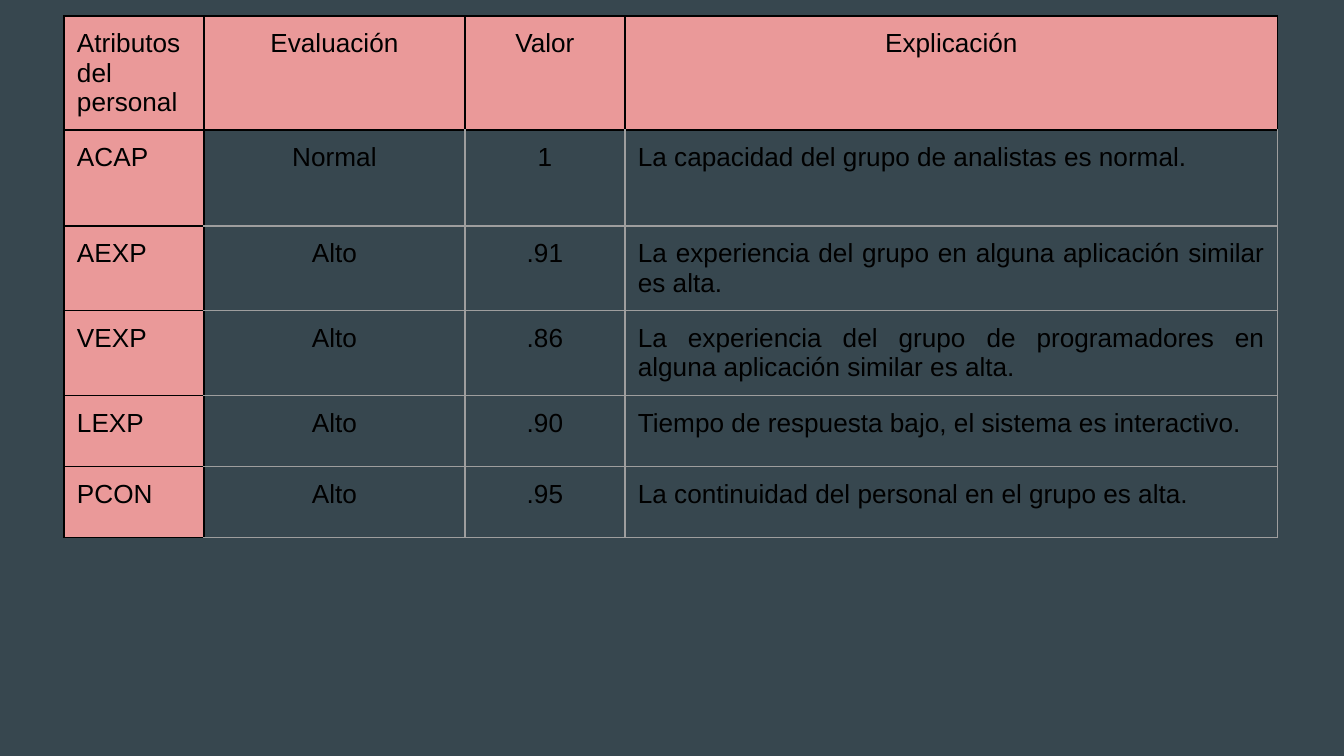
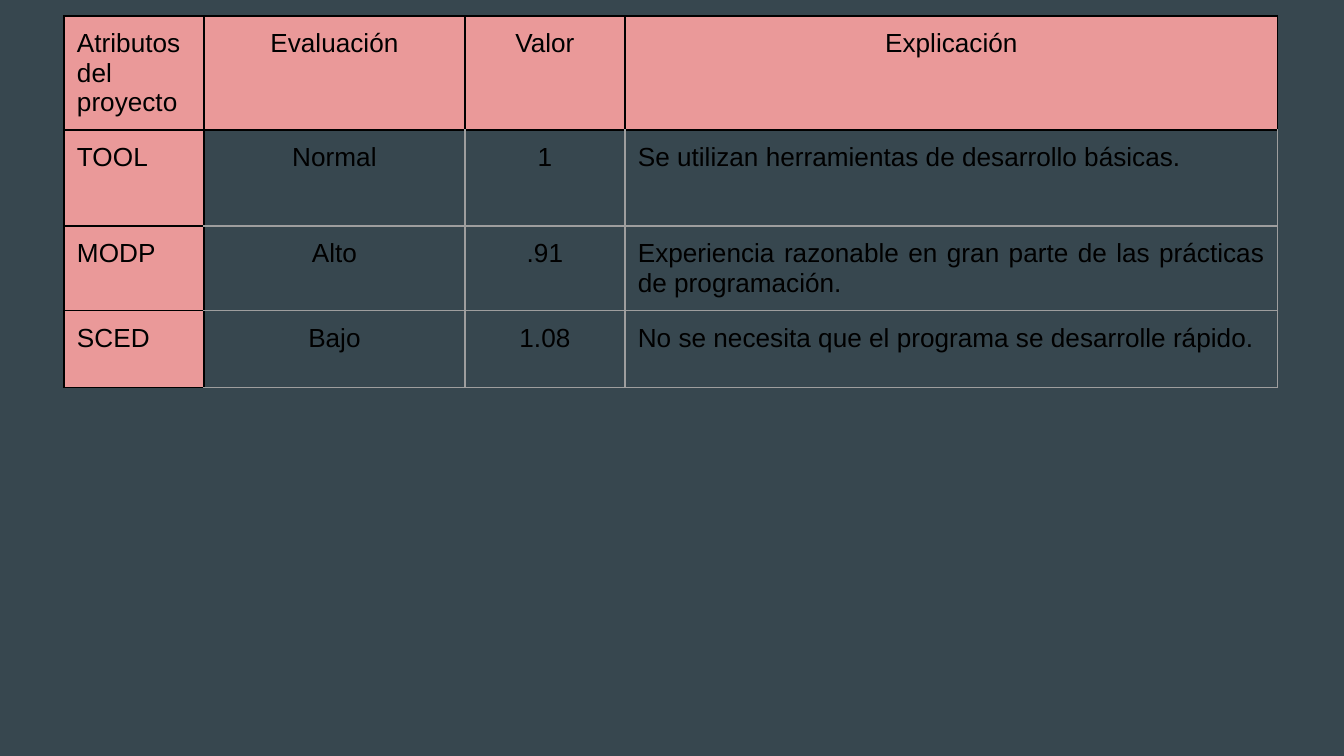
from dataclasses import dataclass

from lxml.etree import SubElement
from pptx import Presentation
from pptx.dml.color import RGBColor
from pptx.enum.text import PP_ALIGN
from pptx.oxml.ns import qn
from pptx.util import Pt

HEADINGS = ("Evaluación", "Valor", "Explicación")
TABLES = [
    ("Atributos del personal", [
        ("ACAP", "Normal", "1", "La capacidad del grupo de analistas es normal."),
        ("AEXP", "Alto", ".91", "La experiencia del grupo en alguna aplicación similar es alta."),
        ("VEXP", "Alto", ".86",
         "La experiencia del grupo de programadores en alguna aplicación similar es alta."),
        ("LEXP", "Alto", ".90", "Tiempo de respuesta bajo, el sistema es interactivo."),
        ("PCON", "Alto", ".95", "La continuidad del personal en el grupo es alta."),
    ]),
    ("Atributos del proyecto", [
        ("TOOL", "Normal", "1", "Se utilizan herramientas de desarrollo básicas."),
        ("MODP", "Alto", ".91",
         "Experiencia razonable en gran parte de las prácticas de programación."),
        ("SCED", "Bajo", "1.08", "No se necesita que el programa se desarrolle rápido."),
    ]),
]
LEFT_ALIGNED = {"LEXP", "PCON"}


@dataclass(frozen=True)
class Theme:
    background: str = "37474F"
    heading_fill: str = "EA9999"
    text: str = "000000"
    heading_border: str = "000000"
    body_border: str = "9E9E9E"
    font: str = "Arial"
    text_size: int = 14
    border_width: float = 0.75


THEME = Theme()

# Lengths in px
SLIDE_WIDTH, SLIDE_HEIGHT = 1344, 756
TABLE_LEFT, TABLE_TOP, FRAME_SIDE = 64, 16, 441
COLUMN_WIDTHS = (140, 261, 160, 653)
ROW_HEIGHTS = (66, 96, 71, 77, 71, 71)
CELL_MARGIN = 13


def px(length):
    return round(length * 9144000 / SLIDE_WIDTH)


def set_borders(cell, colors):
    """Draw the four cell edges; colors maps L, R, T, B to hex colours."""
    properties = cell._tc.get_or_add_tcPr()
    for side, color in colors.items():
        line = SubElement(properties, qn(f"a:ln{side}"), w=str(Pt(THEME.border_width)))
        fill = SubElement(line, qn("a:solidFill"))
        SubElement(fill, qn("a:srgbClr"), val=color)


def border_colors(row, column):
    """Headings have dark edges, which the body cells beside them share."""
    colors = dict.fromkeys("LRTB", THEME.body_border)
    if row == 0 or column == 0:
        return dict.fromkeys("LRTB", THEME.heading_border)
    if column == 1:
        colors["L"] = THEME.heading_border
    if row == 1:
        colors["T"] = THEME.heading_border
    return colors


def alignment(row, column, label):
    if column == 0:
        return PP_ALIGN.LEFT
    if row == 0 or column < len(HEADINGS):
        return PP_ALIGN.CENTER
    return PP_ALIGN.LEFT if label in LEFT_ALIGNED else PP_ALIGN.JUSTIFY


def format_cell(cell, text, row, column, label):
    cell.margin_left = cell.margin_right = px(CELL_MARGIN)
    cell.margin_top = cell.margin_bottom = px(CELL_MARGIN)
    set_borders(cell, border_colors(row, column))
    if row == 0 or column == 0:
        cell.fill.solid()
        cell.fill.fore_color.rgb = RGBColor.from_string(THEME.heading_fill)
    else:
        cell.fill.background()
    cell.text = text
    paragraph = cell.text_frame.paragraphs[0]
    paragraph.alignment = alignment(row, column, label)
    paragraph.font.name = THEME.font
    paragraph.font.size = Pt(THEME.text_size)
    paragraph.font.color.rgb = RGBColor.from_string(THEME.text)


def add_attribute_table(slide, corner, records):
    rows = [(corner, *HEADINGS), *records]
    frame = slide.shapes.add_table(len(rows), len(COLUMN_WIDTHS), px(TABLE_LEFT),
                                   px(TABLE_TOP), px(FRAME_SIDE), px(FRAME_SIDE))
    table = frame.table
    table.first_row = table.horz_banding = False
    for column, width in zip(table.columns, COLUMN_WIDTHS):
        column.width = px(width)
    for row, height in zip(table.rows, ROW_HEIGHTS):
        row.height = px(height)
    frame.width = frame.height = px(FRAME_SIDE)
    for row, texts in enumerate(rows):
        for column, text in enumerate(texts):
            format_cell(table.cell(row, column), text, row, column, texts[0])


def main():
    presentation = Presentation()
    presentation.slide_width = px(SLIDE_WIDTH)
    presentation.slide_height = px(SLIDE_HEIGHT)
    background = presentation.slide_master.background.fill
    background.solid()
    background.fore_color.rgb = RGBColor.from_string(THEME.background)
    blank_layout = presentation.slide_layouts[6]
    for corner, records in TABLES:
        add_attribute_table(presentation.slides.add_slide(blank_layout), corner, records)
    presentation.save("out.pptx")


if __name__ == "__main__":
    main()
